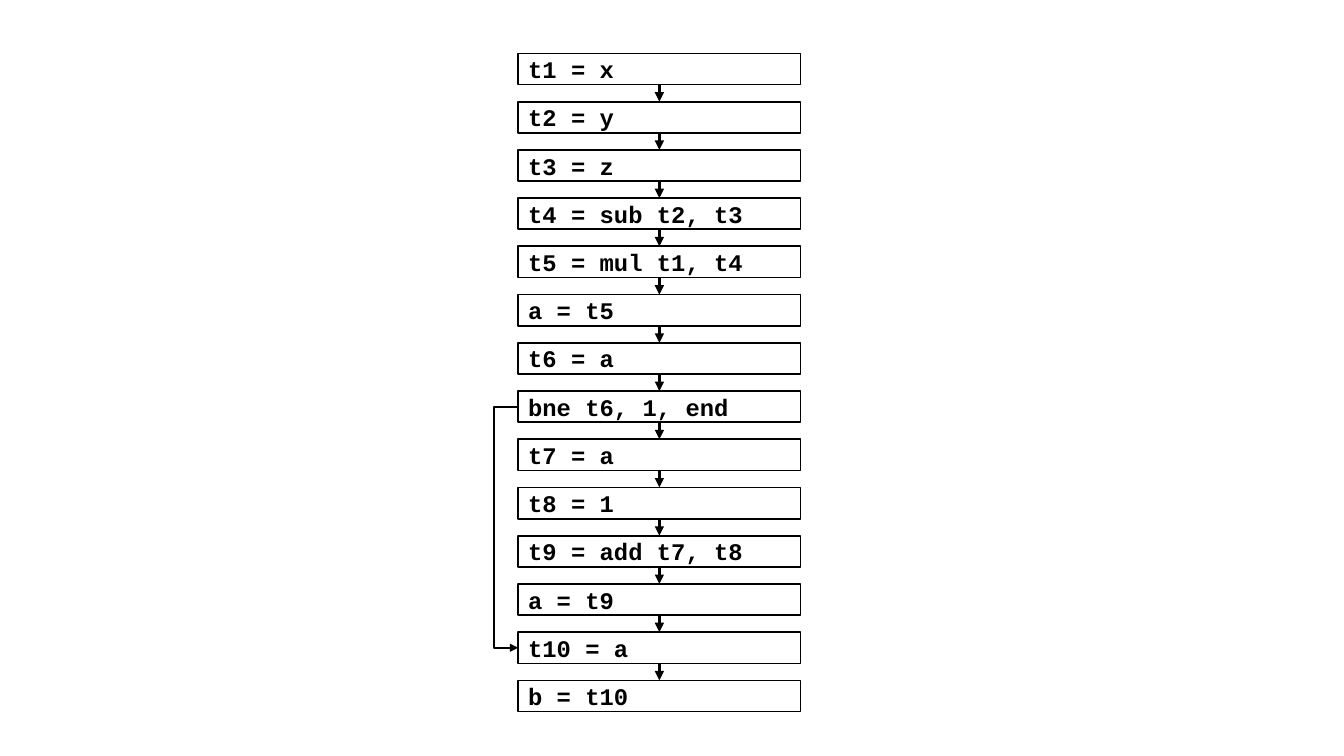
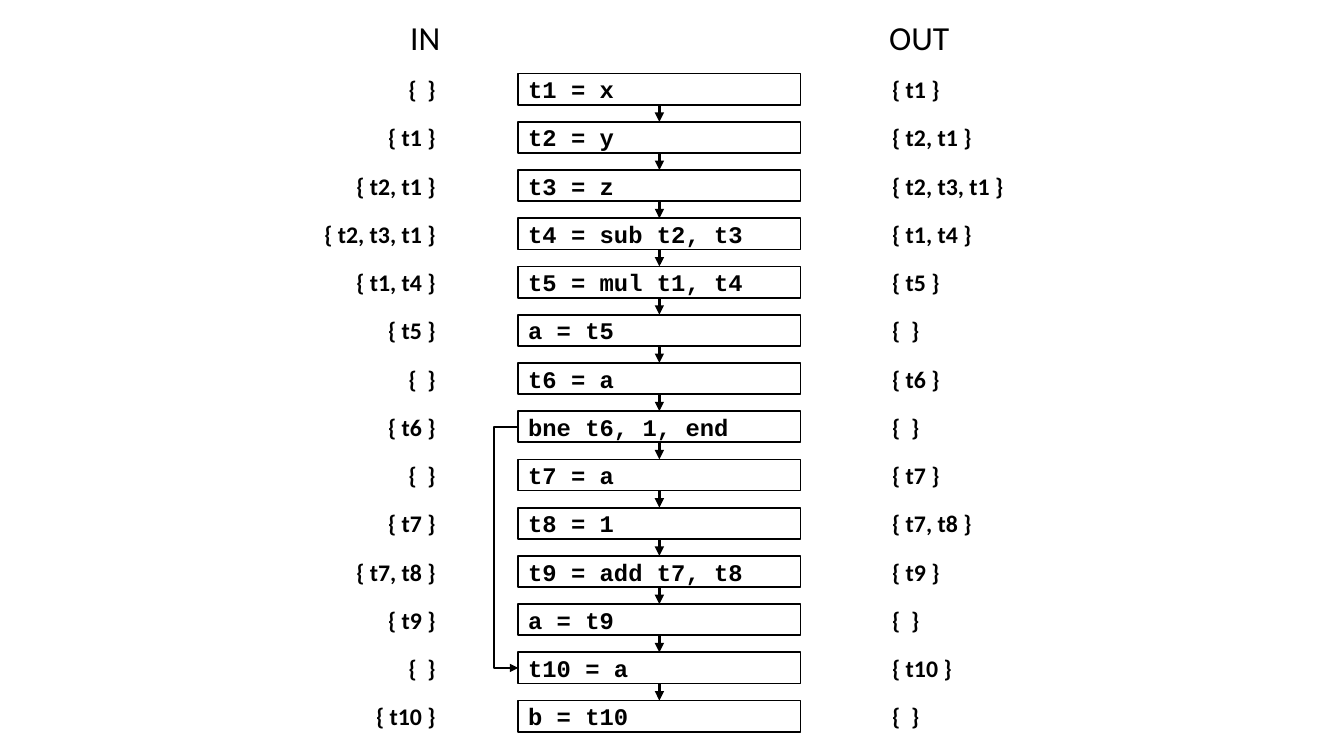
"""Builds two slides: a control-flow chain, then the same chain with its IN and OUT sets."""
from lxml import etree
from pptx import Presentation
from pptx.dml.color import RGBColor
from pptx.enum.shapes import MSO_CONNECTOR, MSO_SHAPE
from pptx.enum.text import MSO_ANCHOR, PP_ALIGN
from pptx.oxml.ns import qn
from pptx.util import Inches, Pt

RECT = MSO_SHAPE.RECTANGLE
STRAIGHT, ELBOW = MSO_CONNECTOR.STRAIGHT, MSO_CONNECTOR.ELBOW
LEFT, RIGHT = PP_ALIGN.LEFT, PP_ALIGN.RIGHT
MIDDLE = MSO_ANCHOR.MIDDLE
TOP_SITE, BOTTOM_SITE = 0, 2

COLORS = {"ink": "000000", "paper": "FFFFFF"}
CODE_FONT, LABEL_FONT = "Courier New", "Calibri"

CODE_X, CODE_W = 5.14, 2.8
IN_X, OUT_X, SET_W = 1.8, 8.75, 2.62
ROW_H = 0.31
ROW_PITCH = 6.22 / 13
BRANCH_REACH, BRANCH_STEP = 0.25, 0.01
BRANCH_FROM, BRANCH_TO = 7, 12

INSTRUCTIONS = [
    "t1 = x", "t2 = y", "t3 = z", "t4 = sub t2, t3", "t5 = mul t1, t4",
    "a = t5", "t6 = a", "bne t6, 1, end", "t7 = a", "t8 = 1",
    "t9 = add t7, t8", "a = t9", "t10 = a", "b = t10",
]
OUT_SETS = [
    "t1", "t2, t1", "t2, t3, t1", "t1, t4", "t5", "", "t6", "",
    "t7", "t7, t8", "t9", "", "t10", "",
]
IN_SETS = [""] + OUT_SETS[:-1]


def color(name):
    """Return a named colour."""
    return RGBColor.from_string(COLORS[name])


def style_text(tf, text, font, size, bold=False, align=LEFT):
    """Put one styled paragraph in a text frame."""
    p = tf.paragraphs[0]
    p.text = text
    p.alignment = align
    p.font.name = font
    p.font.size = Pt(size)
    p.font.bold = bold
    p.font.color.rgb = color("ink")


def add_box(s, x, y, w, text, font, line="ink", align=LEFT):
    """Add a one-line box of the common row height."""
    sp = s.shapes.add_shape(RECT, Inches(x), Inches(y), Inches(w), Inches(ROW_H))
    sp.shadow.inherit = False
    sp.fill.solid()
    sp.fill.fore_color.rgb = color("paper")
    sp.line.color.rgb = color(line)
    sp.line.width = Pt(1.25)
    sp.text_frame.vertical_anchor = MIDDLE
    style_text(sp.text_frame, text, font, 17, True, align)
    return sp


def add_arrow(s, kind, start, end, width):
    """Add a connector with a triangle at its end."""
    points = [Inches(v) for v in (*start, *end)]
    cx = s.shapes.add_connector(kind, *points)
    cx.line.color.rgb = color("ink")
    cx.line.width = Pt(width)
    etree.SubElement(cx.line._get_or_add_ln(), qn("a:tailEnd"), type="triangle")
    etree.SubElement(cx._element.spPr, qn("a:effectLst"))
    return cx


def add_branch(s, y1, y2):
    """Add the jump that runs round the left side of the chain."""
    cx = add_arrow(s, ELBOW, (CODE_X + BRANCH_STEP, y1), (CODE_X, y2), 1.5)
    adjust = round(BRANCH_REACH / BRANCH_STEP * 100000)
    av = cx._element.spPr.find(qn("a:prstGeom")).get_or_add_avLst()
    etree.SubElement(av, qn("a:gd"), name="adj1", fmla=f"val {adjust}")


def row_tops(top):
    """Return the top of every row."""
    return [top + i * ROW_PITCH for i in range(len(INSTRUCTIONS))]


def add_chain(s, top):
    """Add the instruction boxes, the arrows between them and the jump."""
    tops = row_tops(top)
    boxes = [add_box(s, CODE_X, y, CODE_W, text, CODE_FONT)
             for y, text in zip(tops, INSTRUCTIONS)]
    mid = CODE_X + CODE_W / 2
    for i, (upper, lower) in enumerate(zip(boxes, boxes[1:])):
        cx = add_arrow(s, STRAIGHT, (mid, tops[i] + ROW_H), (mid, tops[i + 1]), 2.25)
        cx.begin_connect(upper, BOTTOM_SITE)
        cx.end_connect(lower, TOP_SITE)
    add_branch(s, tops[BRANCH_FROM] + ROW_H / 2, tops[BRANCH_TO] + ROW_H / 2)


def add_sets(s, x, top, sets, align):
    """Add a column of sets beside the chain."""
    for y, names in zip(row_tops(top), sets):
        add_box(s, x, y, SET_W, f"{{ {names} }}", LABEL_FONT, "paper", align)


def add_heading(s, x, w, text):
    """Add the heading of a column of sets."""
    sp = s.shapes.add_textbox(Inches(x), Inches(0.12), Inches(w), Inches(0.5))
    style_text(sp.text_frame, text, LABEL_FONT, 24)


def main():
    """Build and save the deck."""
    prs = Presentation()
    prs.slide_width, prs.slide_height = Inches(13.33), Inches(7.5)
    blank = prs.slide_layouts[6]

    add_chain(prs.slides.add_slide(blank), 0.53)

    s = prs.slides.add_slide(blank)
    top = 0.73
    add_sets(s, IN_X, top, IN_SETS, RIGHT)
    add_chain(s, top)
    add_sets(s, OUT_X, top, OUT_SETS, LEFT)
    add_heading(s, 3.97, 0.61, "IN")
    add_heading(s, 8.72, 0.82, "OUT")

    prs.save("out.pptx")


if __name__ == "__main__":
    main()
